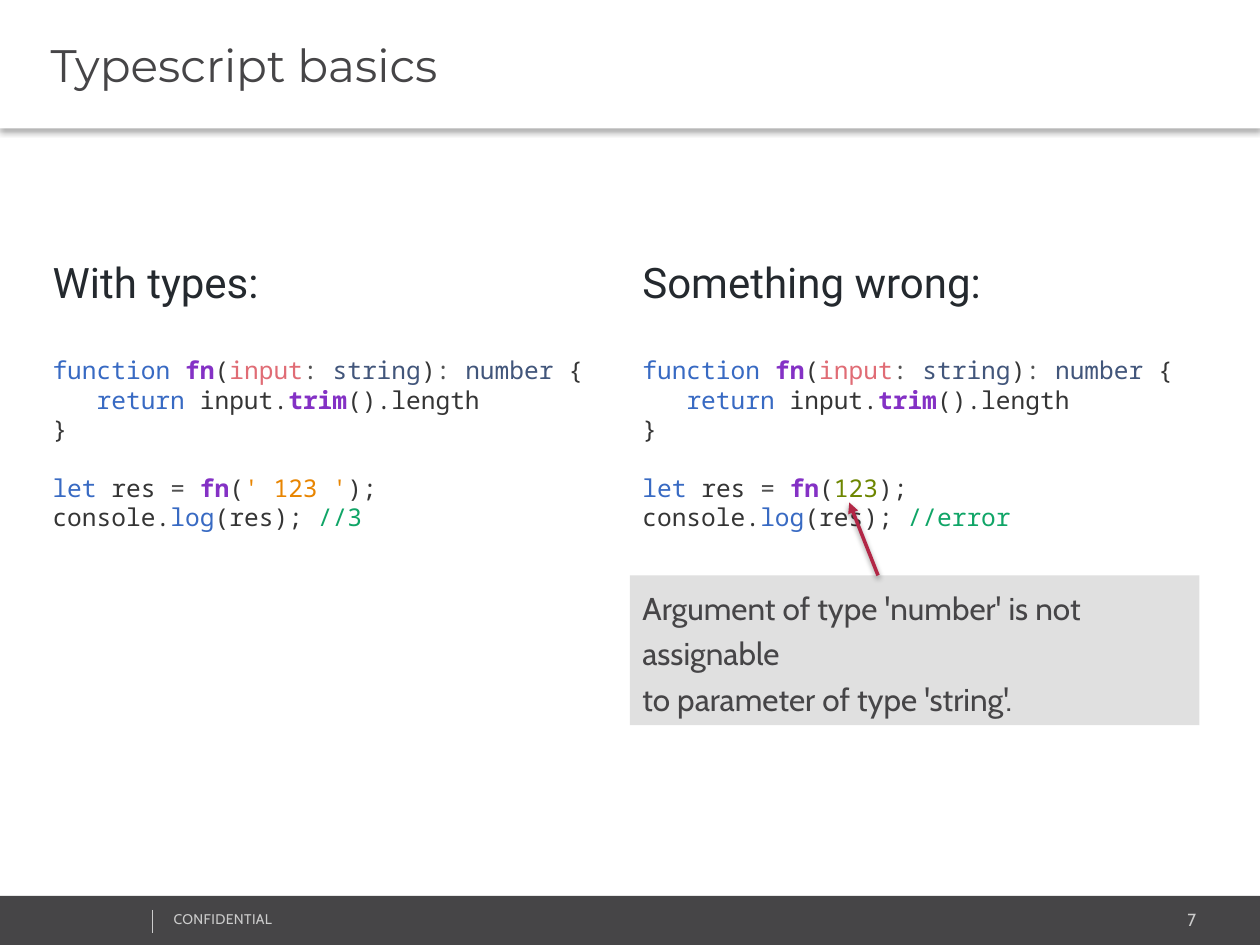
from lxml import etree
from pptx import Presentation
from pptx.dml.color import RGBColor
from pptx.enum import shapes, text
from pptx.oxml import parse_xml
from pptx.oxml.ns import nsdecls, qn
from pptx.util import Cm, Pt

WHITE = RGBColor(0xFF, 0xFF, 0xFF)
CHARCOAL = RGBColor(0x46, 0x45, 0x47)
SILVER = RGBColor(0xCC, 0xCC, 0xCC)
PALE = RGBColor(0xE0, 0xE0, 0xE0)
INK = RGBColor(0x24, 0x29, 0x2E)
CRIMSON = RGBColor(0xB2, 0x27, 0x46)
KEYWORD = RGBColor(0x38, 0x6A, 0xC3)
FUNCTION = RGBColor(0x84, 0x31, 0xC5)
PLAIN = RGBColor(0x35, 0x35, 0x35)
PARAMETER = RGBColor(0xE0, 0x6C, 0x75)
OPERATOR = RGBColor(0x53, 0x53, 0x53)
TYPE = RGBColor(0x42, 0x56, 0x7B)
STRING = RGBColor(0xE8, 0x85, 0x01)
NUMBER = RGBColor(0x6D, 0x86, 0x00)
COMMENT = RGBColor(0x10, 0xA5, 0x67)


class Deck:
    title_font = "Montserrat"
    body_font = "Cabin"
    heading_font = "Roboto"
    code_font = "Noto Sans Mono"

    def __init__(self):
        self.prs = Presentation()
        self.prs.slide_width, self.prs.slide_height = Cm(25.4), Cm(19.05)
        self.s = self.prs.slides.add_slide(self.prs.slide_layouts[5])

    def style(self, r, font, size, color, bold=False):
        r.font.name, r.font.size, r.font.bold = font, Pt(size), bold
        r.font.color.rgb = color

    def fill_text(self, tf, words, font, size, color, align=text.PP_ALIGN.LEFT, spacing=None):
        tf.text = words
        for p in tf.paragraphs:
            p.alignment = align
            p.line_spacing = spacing
            for r in p.runs:
                self.style(r, font, size, color)

    def cast_shadow(self, sp, alpha, distance):
        for old in sp._element.spPr.findall(qn("a:effectLst")):
            sp._element.spPr.remove(old)
        sp._element.spPr.append(parse_xml(
            f'<a:effectLst {nsdecls("a")}><a:outerShdw blurRad="{Pt(3.1)}" '
            f'dist="{Pt(distance)}" dir="5400000" rotWithShape="0">'
            f'<a:srgbClr val="000000"><a:alpha val="{alpha * 1000}"/></a:srgbClr>'
            '</a:outerShdw></a:effectLst>'))

    def title(self, words, height):
        sp = self.s.shapes.title
        sp.left, sp.top, sp.width, sp.height = 0, 0, self.prs.slide_width, Cm(height)
        sp.fill.solid()
        sp.fill.fore_color.rgb = WHITE
        tf = sp.text_frame
        tf.auto_size = text.MSO_AUTO_SIZE.NONE
        tf.vertical_anchor = text.MSO_ANCHOR.MIDDLE
        tf.margin_left = Cm(1.02)
        self.fill_text(tf, words, self.title_font, 26, CHARCOAL)
        self.cast_shadow(sp, 30, 2)

    def box(self, x, y, w, h, color):
        sp = self.s.shapes.add_shape(shapes.MSO_SHAPE.RECTANGLE, Cm(x), Cm(y), Cm(w), Cm(h))
        sp.shadow.inherit = False
        sp.fill.solid()
        sp.fill.fore_color.rgb = color
        sp.line.fill.background()
        return sp

    def label(self, x, y, w, h, words, font, size, color, align=text.PP_ALIGN.LEFT, wrap=True):
        tf = self.s.shapes.add_textbox(Cm(x), Cm(y), Cm(w), Cm(h)).text_frame
        tf.word_wrap = wrap
        self.fill_text(tf, words, font, size, color, align)
        return tf

    def note(self, x, y, w, h, words):
        tf = self.box(x, y, w, h, PALE).text_frame
        tf.vertical_anchor = text.MSO_ANCHOR.TOP
        self.fill_text(tf, words, self.body_font, 18, CHARCOAL, spacing=1.2)

    def code(self, x, y, w, h, lines):
        tf = self.s.shapes.add_textbox(Cm(x), Cm(y), Cm(w), Cm(h)).text_frame
        tf.word_wrap = True
        for i, (indent, gap, tokens) in enumerate(lines):
            p = tf.add_paragraph() if i else tf.paragraphs[0]
            p.space_before = Pt(gap)
            p._p.get_or_add_pPr().set("marL", str(Cm(indent)))
            for words, color in tokens:
                r = p.add_run()
                r.text = words
                self.style(r, self.code_font, 14, color, color == FUNCTION)

    def line(self, x1, y1, x2, y2, color, width):
        c = self.s.shapes.add_connector(
            shapes.MSO_CONNECTOR.STRAIGHT, Cm(x1), Cm(y1), Cm(x2), Cm(y2))
        c.line.color.rgb = color
        c.line.width = Pt(width)
        etree.SubElement(c._element.spPr, qn("a:effectLst"))
        return c

    def arrow(self, x1, y1, x2, y2, color, width):
        c = self.line(x1, y1, x2, y2, color, width)
        ln = c._element.spPr.find(qn("a:ln"))
        etree.SubElement(ln, qn("a:tailEnd")).set("type", "triangle")
        self.cast_shadow(c, 38, 1.6)

    def footer(self, words, number):
        self.box(0, 18.06, 25.4, 1.02, CHARCOAL)
        self.label(20.22, 18.21, 4.14, 0.69, number, self.body_font, 10, SILVER,
                   text.PP_ALIGN.RIGHT)
        tf = self.label(3.25, 18.24, 6.43, 0.61, words, self.body_font, 8, SILVER)
        tf.paragraphs[0].runs[0]._r.get_or_add_rPr().set("spc", "20")
        self.line(3.07, 18.34, 3.07, 18.8, SILVER, 0.25)


def listing(argument, result):
    return [
        (0, 0, [("function ", KEYWORD), ("fn", FUNCTION), ("(", PLAIN),
                ("input", PARAMETER), (": ", OPERATOR), ("string", TYPE), (")", PLAIN),
                (": ", OPERATOR), ("number", TYPE), (" {", PLAIN)]),
        (0.89, 0, [("return ", KEYWORD), ("input.", PLAIN), ("trim", FUNCTION),
                   ("().length", PLAIN)]),
        (0, 0, [("}", PLAIN)]),
        (0, 16.7, [("let", KEYWORD), (" res ", PLAIN), ("= ", OPERATOR), ("fn", FUNCTION),
                   ("(", PLAIN), argument, (");", PLAIN)]),
        (0, 0, [("console.", PLAIN), ("log", KEYWORD), ("(res); ", PLAIN),
                (result, COMMENT)]),
    ]


def main():
    deck = Deck()
    deck.title("Typescript basics", 2.59)
    deck.footer("CONFIDENTIAL", "7")
    columns = [
        (0.81, 4.78, "With types:", ("' 123 '", STRING), "//3"),
        (12.7, 7.49, "Something wrong:", ("123", NUMBER), "//error"),
    ]
    for x, width, heading, argument, result in columns:
        deck.code(x, 7.04, 12.7, 3.84, listing(argument, result))
        deck.label(x, 5.05, width, 1.27, heading, deck.heading_font, 24, INK, wrap=False)
    deck.note(12.7, 11.6, 11.48, 3.02,
              "Argument of type 'number' is not assignable\nto parameter of type 'string'.")
    deck.arrow(17.7, 11.6, 17.12, 10.13, CRIMSON, 2)
    deck.prs.save("out.pptx")


if __name__ == "__main__":
    main()
